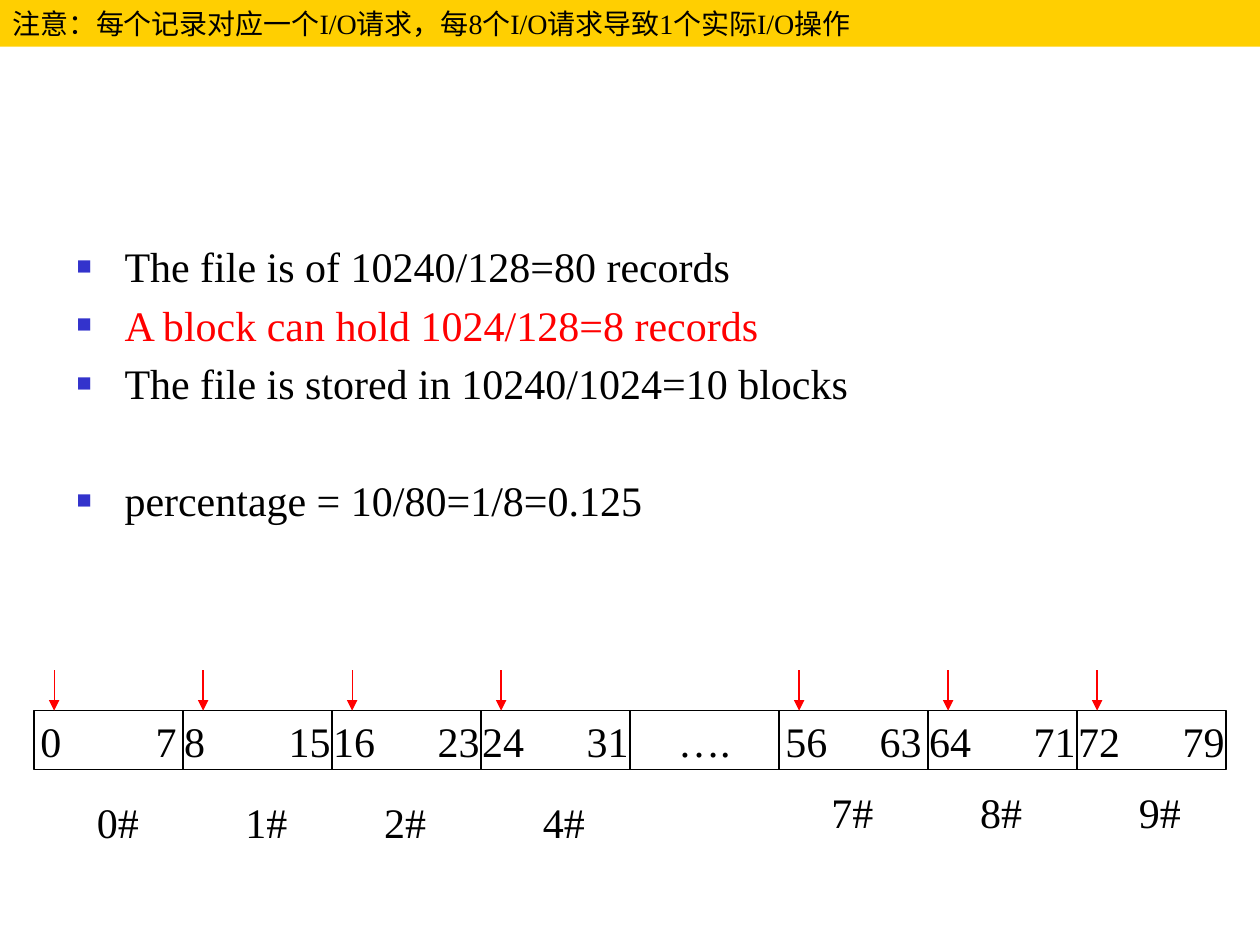
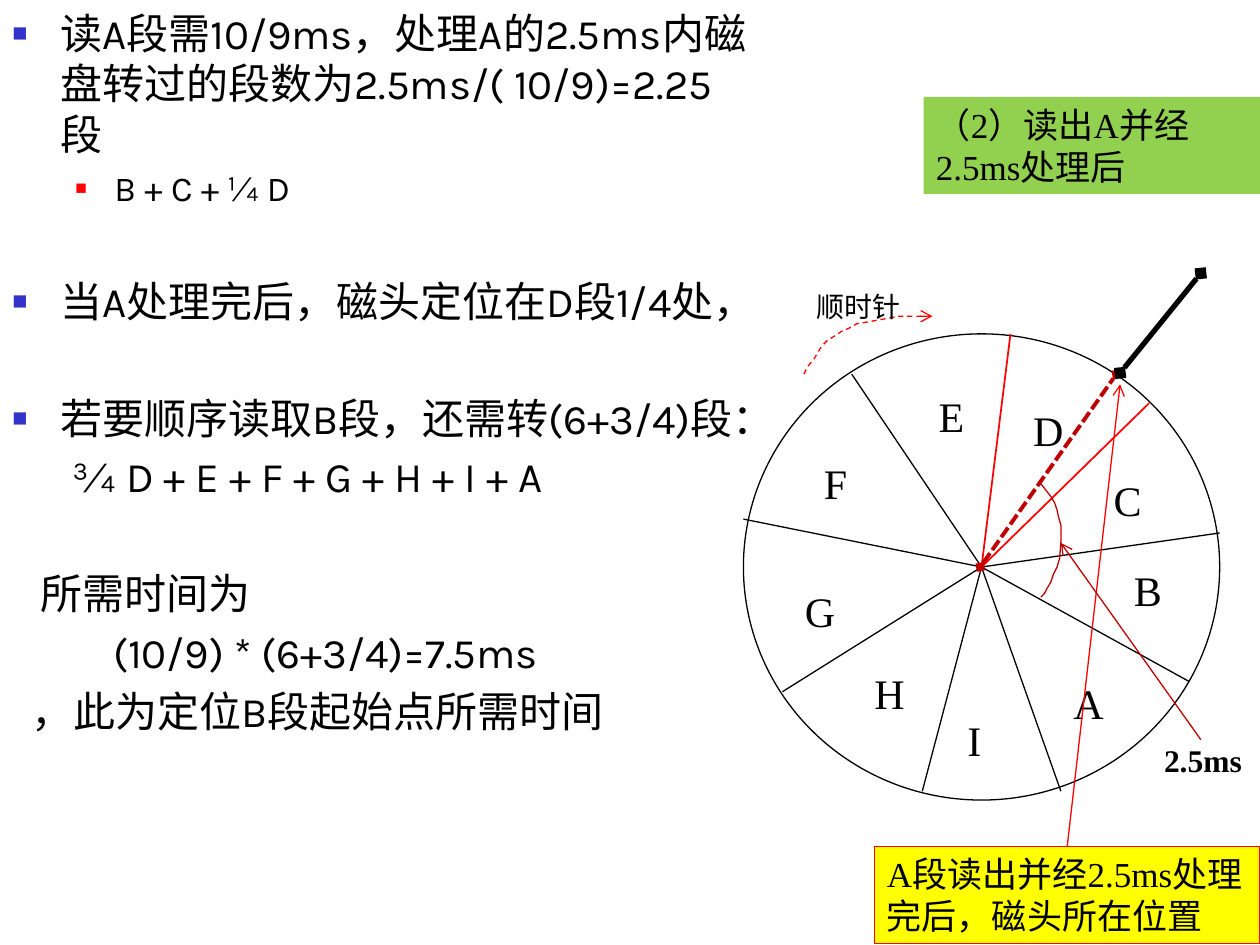
from lxml import etree
from pptx import Presentation
from pptx.dml.color import RGBColor
from pptx.enum import dml, shapes, text
from pptx.oxml.ns import qn
from pptx.util import Inches, Pt

BLACK = RGBColor(0, 0, 0)
RED = RGBColor(0xFF, 0, 0)
DARK_RED = RGBColor(0xC0, 0, 0)
BLUE = RGBColor(0x33, 0x33, 0xCC)
GOLD = RGBColor(0xFF, 0xCF, 0x01)
YELLOW = RGBColor(0xFF, 0xFF, 0)
GREEN = RGBColor(0x92, 0xD0, 0x50)
SERIF, SANS = "Times New Roman", "Karla"
NEAR, FAR = 4.7, 38  # space before a paragraph, in points
RECT = shapes.MSO_SHAPE.RECTANGLE

prs = Presentation()
prs.slide_width, prs.slide_height = Inches(10), Inches(7.5)
records, disk = [prs.slides.add_slide(prs.slide_layouts[6]) for _ in range(2)]


def add_text(slide, box, words, size=24, shape=None, fill=None, line=None, wrap=False, bold=False):
    """Add a one-paragraph text box, or a preset shape when one is named."""
    box = [Inches(v) for v in box]
    if shape is None:
        sp = slide.shapes.add_textbox(*box)
    else:
        sp = slide.shapes.add_shape(shape, *box)
        sp.shadow.inherit = False
        sp.fill.background()
        sp.line.fill.background()
    if fill is not None:
        sp.fill.solid()
        sp.fill.fore_color.rgb = fill
    if line is not None:
        sp.line.color.rgb = line
        sp.line.width = Pt(0.75)
    if words:
        tf = sp.text_frame
        tf.word_wrap = wrap
        tf.vertical_anchor = text.MSO_ANCHOR.TOP
        p = tf.paragraphs[0]
        p.alignment = text.PP_ALIGN.LEFT
        r = p.add_run()
        r.text = words
        r.font.size, r.font.name, r.font.bold = Pt(size), SERIF, bold
        r.font.color.rgb = BLACK
    return sp


def add_line(slide, start, end, color=BLACK, width=0.75, dash=None, head=None, tail=None):
    """Draw a path from start to end; end may be a list of points for a bent path."""
    if isinstance(end, list):
        fb = slide.shapes.build_freeform(Inches(start[0]), Inches(start[1]))
        fb.add_line_segments([(Inches(x), Inches(y)) for x, y in end], close=False)
        sp = fb.convert_to_shape()
        sp.shadow.inherit = False
        sp.fill.background()
    else:
        ends = [Inches(v) for v in (*start, *end)]
        sp = slide.shapes.add_connector(shapes.MSO_CONNECTOR.STRAIGHT, *ends)
        etree.SubElement(sp._element.spPr, qn("a:effectLst"))
    sp.line.color.rgb = color
    sp.line.width = Pt(width)
    if dash:
        sp.line.dash_style = dash
    ln = sp.line._get_or_add_ln()
    for tag, kind in (("a:headEnd", head), ("a:tailEnd", tail)):
        if kind:
            etree.SubElement(ln, qn(tag), type=kind)
    return sp


# Body text of both slides: words, left margin, space before, bullet colour, size, text colour
bodies = [
    (records, (0.51, 1.86, 8.98, 2.52), SERIF, [
        ("The file is of 10240/128=80 records", 0.38, 0, BLUE, 24, BLACK),
        ("A block can hold 1024/128=8 records", 0.38, NEAR, BLUE, 24, RED),
        ("The file is stored in 10240/1024=10 blocks", 0.38, NEAR, BLUE, 24, BLACK),
        ("percentage = 10/80=1/8=0.125", 0.38, FAR, BLUE, 24, BLACK),
    ]),
    (disk, (0, 0.01, 6.06, 6.38), SANS, [
        ("读A段需10/9ms，处理A的2.5ms内磁盘转过的段数为2.5ms/( 10/9)=2.25段",
         0.38, 0, BLUE, 24, BLACK),
        ("B + C + ¼ D", 0.81, NEAR, RED, 20, BLACK),
        ("当A处理完后，磁头定位在D段1/4处，", 0.38, FAR, BLUE, 24, BLACK),
        ("若要顺序读取B段，还需转(6+3/4)段：", 0.38, FAR, BLUE, 24, BLACK),
        ("¾ D + E + F + G + H + I + A", 0.48, NEAR, None, 24, BLACK),
        ("所需时间为", 0.22, FAR, None, 24, BLACK),
        ("(10/9) * (6+3/4)=7.5ms", 0.8, NEAR, None, 24, BLACK),
        ("，此为定位B段起始点所需时间", 0.15, NEAR, None, 24, BLACK),
    ]),
]
for slide, box, face, lines in bodies:
    tf = slide.shapes.add_textbox(*[Inches(v) for v in box]).text_frame
    tf.word_wrap = True
    for i, (words, margin, before, bullet, size, color) in enumerate(lines):
        p = tf.paragraphs[0] if i == 0 else tf.add_paragraph()
        pPr = p._p.get_or_add_pPr()
        pPr.set("marL", str(Inches(margin)))
        if bullet is not None:
            second_level = size < 24
            pPr.set("lvl", str(int(second_level)))
            pPr.set("indent", str(Inches(-0.31 if second_level else -0.38)))
            clr = etree.SubElement(pPr, qn("a:buClr"))
            etree.SubElement(clr, qn("a:srgbClr"), val=str(bullet))
            etree.SubElement(pPr, qn("a:buSzPct"), val="55000" if second_level else "60000")
            etree.SubElement(pPr, qn("a:buFont"), typeface=SERIF)
            etree.SubElement(pPr, qn("a:buChar"), char="■")
        p.space_before = Pt(before)
        r = p.add_run()
        r.text = words
        r.font.size, r.font.name = Pt(size), face
        r.font.color.rgb = color

# Slide 1: row of blocks with the first and last record of each
CELL_W, CELL_TOP, CELL_H = 9.46 / 8, 5.64, 0.47
for i, first in enumerate((0, 8, 16, 24, None, 56, 64, 72)):
    left = 0.27 + i * CELL_W
    words = "…." if first is None else f"{first}\t{first + 7}"
    sp = add_text(records, (left, CELL_TOP, CELL_W, CELL_H), words, shape=RECT, line=BLACK, wrap=True)
    tf = sp.text_frame
    tf.vertical_anchor = text.MSO_ANCHOR.MIDDLE
    if first is None:
        tf.paragraphs[0].alignment = text.PP_ALIGN.CENTER
        continue
    inset = 0.05 if first in (0, 56) else 0.01
    tf.margin_left, tf.margin_right = Inches(inset), 0
    tabs = etree.SubElement(tf.paragraphs[0]._p.get_or_add_pPr(), qn("a:tabLst"))
    etree.SubElement(tabs, qn("a:tab"), pos=str(Inches(CELL_W - 2 * inset)), algn="r")
    add_line(records, (left + 0.16, 5.32), (left + 0.16, CELL_TOP), RED, tail="triangle")

for number, left, top in ((0, 0.67, 6.27), (1, 1.85, 6.27), (2, 2.95, 6.27), (4, 4.21, 6.27),
                          (7, 6.5, 6.19), (8, 7.68, 6.19), (9, 8.94, 6.19)):
    add_text(records, (left, top, 0.53, 0.5), f"{number}#")

add_text(records, (0, 0, 10, 0.37), "注意：每个记录对应一个I/O请求，每8个I/O请求导致1个实际I/O操作",
         16, RECT, GOLD, wrap=True)

# Slide 2: disk with nine sectors
CENTER = (7.79, 4.5)
add_text(disk, (5.9, 2.65, 3.78, 3.7), "", shape=shapes.MSO_SHAPE.OVAL, line=BLACK)
for rim in ((6.76, 2.97), (9.68, 4.23), (9.44, 5.41), (8.42, 6.28),
            (6.21, 5.49), (5.9, 4.12), (7.32, 6.28)):
    add_line(disk, CENTER, rim)
for rim in ((8.02, 2.65), (9.12, 3.2)):
    add_line(disk, CENTER, rim, RED, 1)
for sector, left, top, width in (
        ("D", 8.1, 3.16, 0.45), ("C", 8.74, 3.72, 0.43), ("B", 8.9, 4.43, 0.43),
        ("A", 8.42, 5.33, 0.45), ("I", 7.58, 5.62, 0.31), ("H", 6.84, 5.25, 0.45),
        ("G", 6.29, 4.6, 0.45), ("F", 6.44, 3.58, 0.39), ("E", 7.35, 3.05, 0.41)):
    add_text(disk, (left, top, width, 0.5), sector)

# Disk head, direction of rotation and notes
add_line(disk, (7.78, 4.5), (8.86, 2.97), DARK_RED, 2.25, dml.MSO_LINE.SQUARE_DOT, "diamond", "diamond")
add_line(disk, (9.53, 2.17), (8.89, 2.96), BLACK, 3, head="diamond", tail="diamond")
rotation = [(6.41, 2.91), (6.46, 2.85), (6.52, 2.75), (6.57, 2.7), (6.62, 2.67), (6.68, 2.63),
            (6.75, 2.6), (6.8, 2.57), (6.92, 2.55), (7.03, 2.53), (7.14, 2.51), (7.4, 2.51)]
add_line(disk, (6.38, 2.97), rotation, RED, dash=dml.MSO_LINE.DASH, tail="arrow")
add_text(disk, (6.38, 2.25, 0.88, 0.37), "顺时针", 16)
head_note = add_text(disk, (6.94, 6.72, 3.06, 0.77), "A段读出并经2.5ms处理完后，磁头所在位置",
                     20, RECT, YELLOW, RED, wrap=True)
pointer = add_line(disk, (8.47, 6.72), (8.89, 3.05), RED, tail="arrow")
pointer.begin_connect(head_note, 0)
add_text(disk, (7.33, 0.77, 2.67, 0.77), "（2）读出A并经2.5ms处理后", 20, RECT, GREEN, wrap=True)
turned = [(8.27, 3.85), (8.3, 3.89), (8.34, 3.94), (8.37, 3.99), (8.39, 4.05), (8.4, 4.1),
          (8.42, 4.17), (8.42, 4.3), (8.41, 4.43), (8.39, 4.5), (8.36, 4.56), (8.34, 4.62),
          (8.31, 4.67), (8.29, 4.71), (8.26, 4.74)]
add_line(disk, (8.24, 3.83), turned, DARK_RED)
add_line(disk, (9.53, 5.87), (8.42, 4.31), DARK_RED, tail="arrow")
add_text(disk, (9.14, 5.83, 0.83, 0.4), "2.5ms", 18, bold=True)

prs.save("out.pptx")
